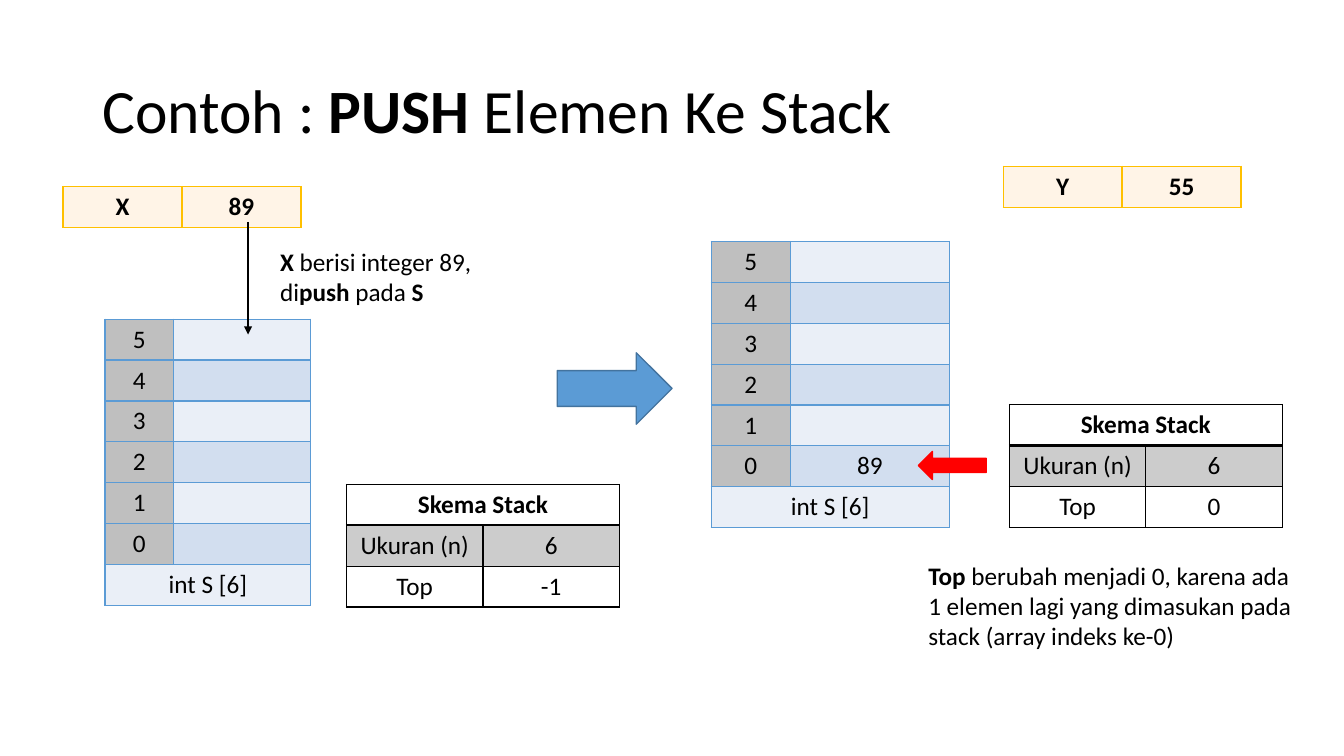
from lxml.etree import SubElement
from pptx import Presentation
from pptx.dml.color import RGBColor
from pptx.enum.shapes import MSO_CONNECTOR, MSO_SHAPE
from pptx.enum.text import MSO_ANCHOR, PP_ALIGN
from pptx.oxml import parse_xml
from pptx.oxml.ns import nsdecls, qn
from pptx.util import Pt

FONT = "Calibri"
ROW_HEIGHT = 29.2
BLACK, BLUE, GOLD, RED = "000000", "5B9BD5", "FFC000", "FF0000"
DARK_BLUE, CREAM = "43739E", "FFF4E7"
INDEX_GRAY, ROW_GRAY = "BFBFBF", "CCCCCC"
BANDS = ("EAEFF7", "D2DEEF")


def color(value):
    """Turn a hex string into a colour."""
    return RGBColor.from_string(value)


def set_font(font, size=18):
    """Apply the common typeface, size and colour."""
    font.name = FONT
    font.size = Pt(size)
    font.color.rgb = color(BLACK)


def add_text(slide, left, top, width, height, pieces, size=18):
    """Add a text box from (text, bold) pieces."""
    box = slide.shapes.add_textbox(Pt(left), Pt(top), Pt(width), Pt(height))
    box.text_frame.word_wrap = True
    paragraph = box.text_frame.paragraphs[0]
    set_font(paragraph.font, size)
    for text, bold in pieces:
        run = paragraph.add_run()
        run.text = text
        run.font.bold = bold
    return box


def set_borders(cell, line_color, bottom_width):
    """Draw all four borders of a cell."""
    properties = cell._tc.get_or_add_tcPr()
    for position, side in enumerate("LRTB"):
        width = bottom_width if side == "B" else 1
        properties.insert(position, parse_xml(
            f'<a:ln{side} {nsdecls("a")} w="{Pt(width)}"><a:solidFill>'
            f'<a:srgbClr val="{line_color}"/></a:solidFill></a:ln{side}>'))


def add_grid(slide, left, top, widths, rows, fills, line_color,
             bold_header=False, merged_row=None, header_bottom=1):
    """Add a centred table with one fill per cell."""
    frame = slide.shapes.add_table(len(rows), len(widths), Pt(left), Pt(top),
                                   Pt(sum(widths)), Pt(ROW_HEIGHT * len(rows)))
    table = frame.table
    table.first_row = table.horz_banding = False
    for column, width in zip(table.columns, widths):
        column.width = Pt(width)
    for r, row in enumerate(rows):
        table.rows[r].height = Pt(ROW_HEIGHT)
        for c, text in enumerate(row):
            cell = table.cell(r, c)
            cell.text = text
            paragraph = cell.text_frame.paragraphs[0]
            paragraph.alignment = PP_ALIGN.CENTER
            set_font(paragraph.font)
            paragraph.font.bold = bold_header and r == 0
            if fills[r][c]:
                cell.fill.solid()
                cell.fill.fore_color.rgb = color(fills[r][c])
            else:
                cell.fill.background()
            set_borders(cell, line_color, header_bottom if r == 0 else 1)
    if merged_row is not None:
        table.cell(merged_row, 0).merge(table.cell(merged_row, 1))


def add_variable(slide, left, top, name, value):
    """Add a variable name beside its value."""
    add_grid(slide, left, top, (85, 85), [(name, value)], [(CREAM, CREAM)],
             GOLD, bold_header=True)


def add_stack(slide, left, top, widths, bottom_value=""):
    """Add the six-slot stack with its declaration underneath."""
    rows = [(str(index), "" if index else bottom_value)
            for index in range(5, -1, -1)]
    fills = [(INDEX_GRAY, BANDS[r % 2]) for r in range(6)]
    add_grid(slide, left, top, widths, rows + [("int S [6]", "")],
             fills + [(BANDS[0], BANDS[0])], BLUE, merged_row=6)


def add_schema(slide, left, top, top_value):
    """Add the table of stack size and top index."""
    rows = [("Skema Stack", ""), ("Ukuran (n)", "6"), ("Top", top_value)]
    fills = [(None, None), (ROW_GRAY, ROW_GRAY), (None, None)]
    add_grid(slide, left, top, (97.5, 97.5), rows, fills, BLACK,
             bold_header=True, merged_row=0, header_bottom=2)


def add_block_arrow(slide, kind, left, top, width, height, fill, line):
    """Add a filled block arrow."""
    arrow = slide.shapes.add_shape(kind, Pt(left), Pt(top), Pt(width), Pt(height))
    arrow.shadow.inherit = False
    arrow.fill.solid()
    arrow.fill.fore_color.rgb = color(fill)
    arrow.line.color.rgb = color(line)
    arrow.line.width = Pt(1)


def add_line_arrow(slide, x, top, bottom):
    """Add a downward line with an arrowhead."""
    connector = slide.shapes.add_connector(MSO_CONNECTOR.STRAIGHT, Pt(x), Pt(top),
                                           Pt(x), Pt(bottom))
    connector.line.color.rgb = color(BLACK)
    connector.line.width = Pt(1.5)
    SubElement(connector.line._get_or_add_ln(), qn("a:tailEnd"), type="triangle")
    SubElement(connector._element.spPr, qn("a:effectLst"))


def main():
    """Build and save the slide."""
    presentation = Presentation()
    presentation.slide_width = Pt(960)
    presentation.slide_height = Pt(540)
    slide = presentation.slides.add_slide(presentation.slide_layouts[6])

    title = add_text(slide, 66, 28.75, 828, 104.4,
                     [("Contoh : ", False), ("PUSH ", True),
                      ("Elemen Ke Stack", False)], size=44)
    title.text_frame.vertical_anchor = MSO_ANCHOR.MIDDLE
    title.text_frame.paragraphs[0].line_spacing = 0.9

    add_stack(slide, 75, 228, (49, 98))
    add_variable(slide, 45, 133.2, "X", "89")
    add_line_arrow(slide, 177.2, 158.4, 239)
    add_text(slide, 193, 172.5, 152, 51,
             [("X ", True), ("berisi integer 89, di", False), ("push ", True),
              ("pada ", False), ("S", True)])
    add_stack(slide, 508, 172.5, (56.7, 113.3), "89")
    add_schema(slide, 721, 289, "0")
    add_block_arrow(slide, MSO_SHAPE.RIGHT_ARROW, 398, 252, 82, 51, BLUE, DARK_BLUE)
    add_block_arrow(slide, MSO_SHAPE.LEFT_ARROW, 656, 322.5, 48.5, 20, RED, RED)
    add_text(slide, 656, 396.5, 276.5, 73,
             [("Top ", True),
              ("berubah menjadi 0, karena ada 1 elemen lagi yang dimasukan "
               "pada stack (array indeks ke-0)", False)])
    add_schema(slide, 247.5, 346, "-1")
    add_variable(slide, 716.5, 118.8, "Y", "55")
    presentation.save("out.pptx")


if __name__ == "__main__":
    main()
